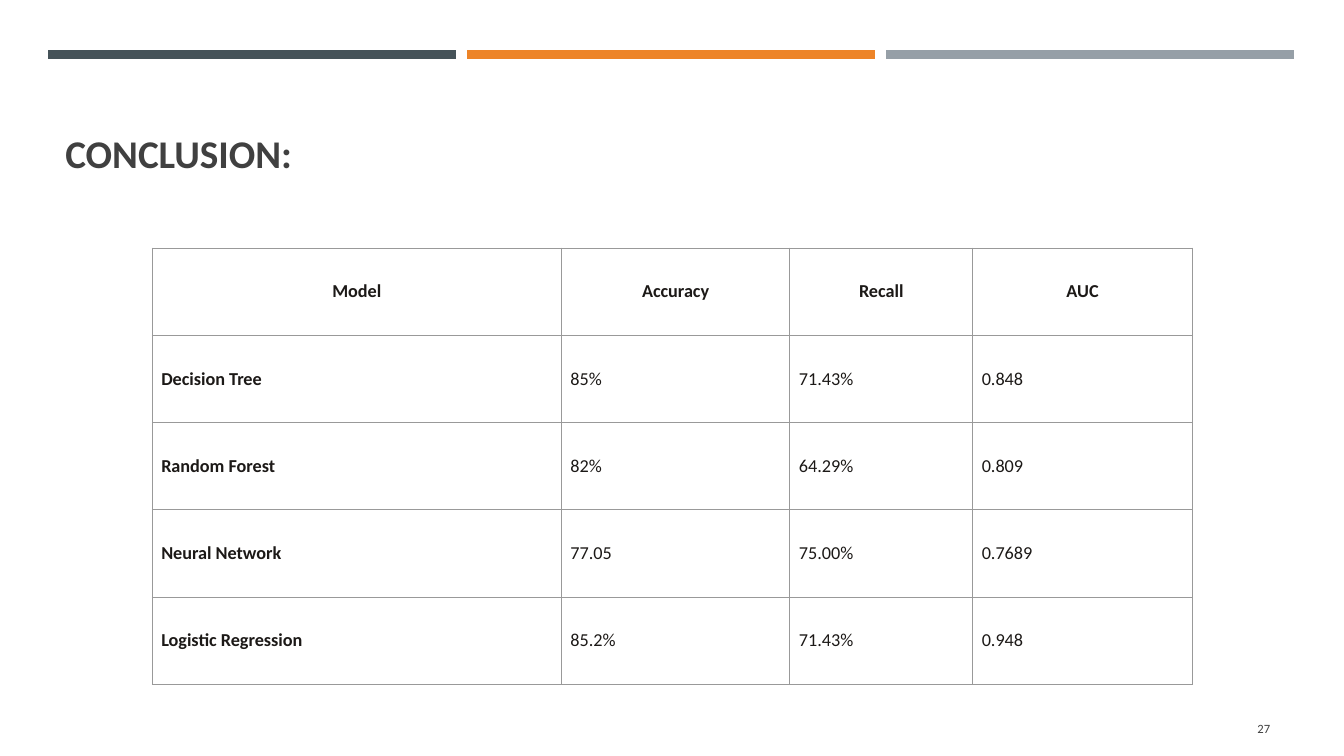
from lxml import etree
from pptx import Presentation
from pptx import util as u
from pptx.dml import color
from pptx.enum import shapes, text
from pptx.oxml import ns

FONT = "Calibri"
GREY = "404040"
INK = "1C1917"
BORDER = "999999"

BARS = ["465359", "ED8428", "969FA7"]
COLUMN_WIDTHS = [292.3, 163.2, 130.6, 157]
ROW_HEIGHT = 62.35
RESULTS = [
    ["Model", "Accuracy", "Recall", "AUC"],
    ["Decision Tree", "85%", "71.43%", "0.848"],
    ["Random Forest", "82%", "64.29%", "0.809"],
    ["Neural Network", "77.05", "75.00%", "0.7689"],
    ["Logistic Regression", "85.2%", "71.43%", "0.948"],
]


def rgb(value):
    return color.RGBColor.from_string(value)


def add_run(paragraph, words, size, colour, bold=False):
    run = paragraph.add_run()
    run.text = words
    run.font.name = FONT
    run.font.size = u.Pt(size)
    run.font.bold = bold
    run.font.color.rgb = rgb(colour)


def add_bar(slide, left, top, width, colour):
    bar = slide.shapes.add_connector(
        shapes.MSO_CONNECTOR.STRAIGHT,
        u.Pt(left), u.Pt(top), u.Pt(left + width), u.Pt(top))
    bar.line.color.rgb = rgb(colour)
    bar.line.width = u.Pt(6.5)
    etree.SubElement(bar.element.spPr, ns.qn("a:effectLst"))


def add_label(slide, box, words, size, align, bold=False):
    frame = slide.shapes.add_textbox(*map(u.Pt, box)).text_frame
    frame.word_wrap = True
    frame.vertical_anchor = text.MSO_ANCHOR.MIDDLE
    frame.paragraphs[0].alignment = align
    add_run(frame.paragraphs[0], words, size, GREY, bold)


def add_borders(cell):
    properties = cell._tc.get_or_add_tcPr()
    for side in ("lnL", "lnR", "lnT", "lnB"):
        line = etree.SubElement(properties, ns.qn("a:" + side), w=str(u.Pt(0.6)))
        fill = etree.SubElement(line, ns.qn("a:solidFill"))
        etree.SubElement(fill, ns.qn("a:srgbClr"), val=BORDER)


def fill_cell(cell, words, is_header, bold):
    add_borders(cell)
    cell.fill.background()
    cell.vertical_anchor = text.MSO_ANCHOR.MIDDLE
    cell.margin_left = cell.margin_right = u.Pt(6.5)
    paragraph = cell.text_frame.paragraphs[0]
    paragraph.alignment = text.PP_ALIGN.CENTER if is_header else text.PP_ALIGN.LEFT
    add_run(paragraph, words, 13, INK, bold)


def add_results_table(slide, left, top):
    table = slide.shapes.add_table(
        len(RESULTS), len(COLUMN_WIDTHS), u.Pt(left), u.Pt(top),
        u.Pt(sum(COLUMN_WIDTHS)), u.Pt(ROW_HEIGHT * len(RESULTS))).table
    table.first_row = table.horz_banding = False
    for column, width in zip(table.columns, COLUMN_WIDTHS):
        column.width = u.Pt(width)
    for i, values in enumerate(RESULTS):
        table.rows[i].height = u.Pt(ROW_HEIGHT)
        for j, words in enumerate(values):
            fill_cell(table.cell(i, j), words, i == 0, i == 0 or j == 0)


def main():
    presentation = Presentation()
    presentation.slide_width = u.Pt(960)
    presentation.slide_height = u.Pt(540)
    slide = presentation.slides.add_slide(presentation.slide_layouts[6])

    # Coloured bars across the top
    for i, colour in enumerate(BARS):
        add_bar(slide, 34.4 + i * 299.3, 39, 291.5, colour)

    # Title
    add_label(slide, (39.6, 51.1, 865.4, 115.9), "CONCLUSION:", 28,
              text.PP_ALIGN.LEFT, bold=True)

    # Model comparison
    add_results_table(slide, 108.7, 177.1)

    # Slide number
    add_label(slide, (831.6, 506.2, 82.8, 28.8), "27", 9, text.PP_ALIGN.RIGHT)

    presentation.save("out.pptx")


if __name__ == "__main__":
    main()
